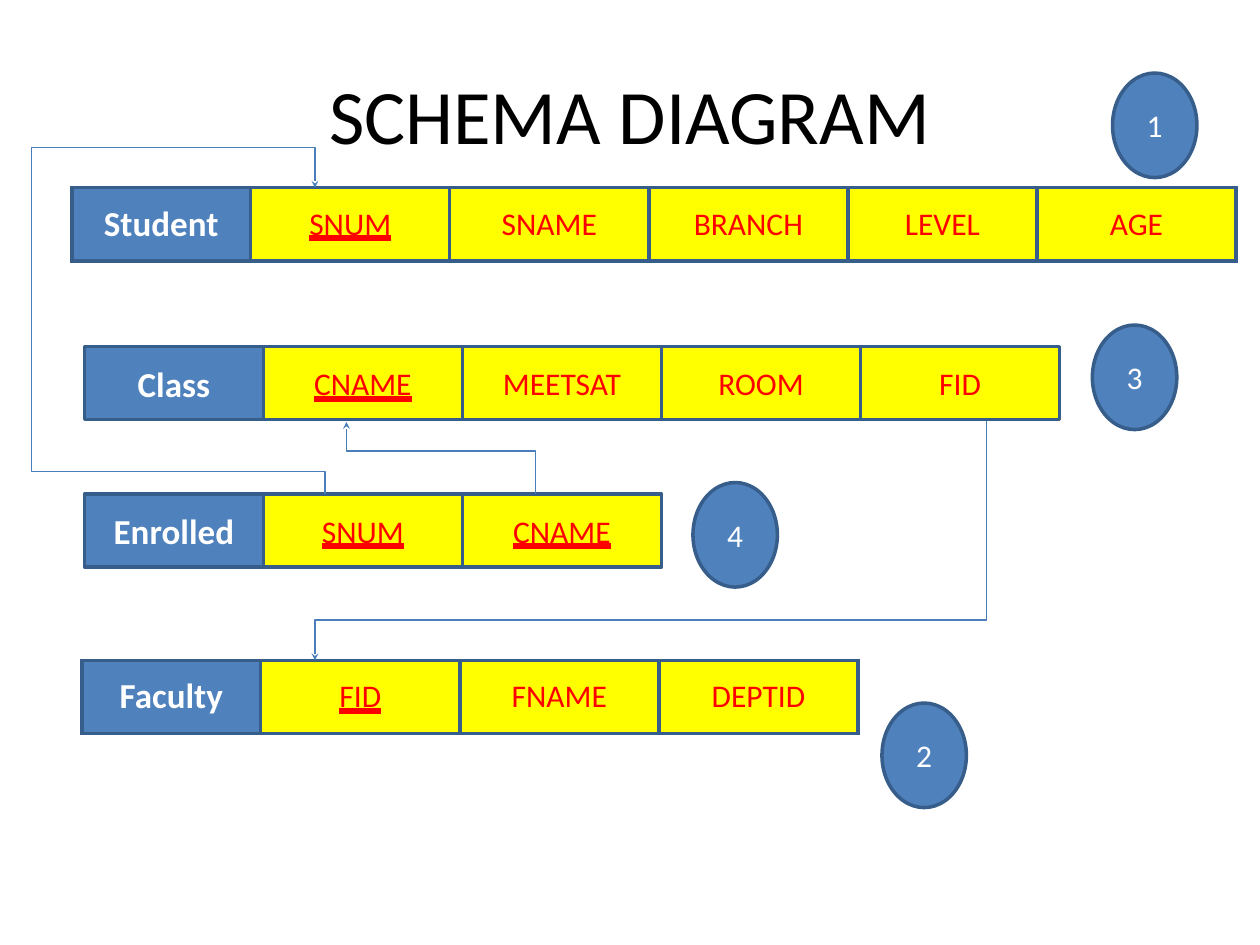
from lxml.etree import SubElement
from pptx import Presentation
from pptx.dml.color import RGBColor
from pptx.enum.shapes import MSO_SHAPE
from pptx.enum.text import MSO_ANCHOR, MSO_UNDERLINE, PP_ALIGN
from pptx.oxml.ns import qn
from pptx.util import Inches, Pt

COLORS = {"blue": "4F81BD", "edge": "375D8A", "yellow": "FFFF00", "red": "FF0000",
          "link": "4A7EBB", "white": "FFFFFF", "black": "000000"}
NAME_WIDTH, FIELD_WIDTH, LEVEL_WIDTH, ROW_HEIGHT = 1.42, 1.58, 1.5, 0.58
BADGE_WIDTH, BADGE_HEIGHT = 0.67, 0.83


def color(name):
    return RGBColor.from_string(COLORS[name])


def write(frame, text, size=18, ink="red", bold=False, key=False):
    """Put one centred line of text in a frame; key fields are underlined."""
    frame.margin_left = frame.margin_right = frame.margin_top = frame.margin_bottom = 0
    frame.vertical_anchor = MSO_ANCHOR.MIDDLE
    frame.word_wrap = True
    para = frame.paragraphs[0]
    para.alignment = PP_ALIGN.CENTER
    span = para.add_run()
    span.text = text
    span.font.name, span.font.size, span.font.bold = "Calibri", Pt(size), bold
    span.font.color.rgb = color(ink)
    if key:
        span.font.underline = MSO_UNDERLINE.HEAVY_LINE


deck = Presentation()
deck.slide_width, deck.slide_height = Inches(10), Inches(7.5)
page = deck.slides.add_slide(deck.slide_layouts[5])
shapes = page.shapes

# Title
title = shapes.title
title.left, title.top, title.width, title.height = map(Inches, (2.3, 0.52, 5.4, 0.76))
write(title.text_frame, "SCHEMA DIAGRAM", size=44, ink="black")

# Relations drawn as tables: left, top, name, key fields, other fields
tables = [
    (0.57, 1.49, "Student", ["SNUM"], ["SNAME", "BRANCH", "LEVEL", "AGE"]),
    (0.65, 5.24, "Faculty", ["FID"], ["FNAME", "DEPTID"]),
]
for left, top, name, keys, others in tables:
    labels = [name] + keys + others
    widths = [NAME_WIDTH] + [LEVEL_WIDTH if label == "LEVEL" else FIELD_WIDTH
                             for label in labels[1:]]
    table = shapes.add_table(1, len(labels), Inches(left), Inches(top),
                             Inches(sum(widths)), Inches(ROW_HEIGHT)).table
    for column, (label, width) in enumerate(zip(labels, widths)):
        table.columns[column].width = Inches(width)
        cell = table.cell(0, column)
        head = column == 0
        write(cell.text_frame, label, size=20 if head else 18,
              ink="white" if head else "red", bold=head, key=label in keys)
        cell.margin_left = cell.margin_right = cell.margin_top = cell.margin_bottom = 0
        cell.vertical_anchor = MSO_ANCHOR.MIDDLE
        properties = cell._tc.get_or_add_tcPr()
        for side in ("a:lnL", "a:lnR", "a:lnT", "a:lnB"):
            border = SubElement(properties, qn(side), w=str(Pt(2.25)))
            fill = SubElement(border, qn("a:solidFill"))
            SubElement(fill, qn("a:srgbClr"), val=COLORS["edge"])
        cell.fill.solid()
        cell.fill.fore_color.rgb = color("blue" if head else "yellow")

# Relations drawn as rows of boxes, then the numbered badges
boxes = []
box_rows = [
    (2.75, "Class", ["CNAME"], ["MEETSAT", "ROOM", "FID"]),
    (3.92, "Enrolled", ["SNUM", "CNAME"], []),
]
for top, name, keys, others in box_rows:
    left = 0.67
    for label in [name] + keys + others:
        head = label == name
        width = NAME_WIDTH if head else FIELD_WIDTH
        boxes.append((MSO_SHAPE.RECTANGLE, left, top, width, ROW_HEIGHT,
                      "blue" if head else "yellow", label,
                      dict(size=20 if head else 18, ink="white" if head else "red",
                           bold=head, key=label in keys)))
        left += width
badges = {"1": (8.83, 0.58), "2": (7, 5.58), "3": (8.67, 2.58), "4": (5.5, 3.83)}
for number, (left, top) in badges.items():
    boxes.append((MSO_SHAPE.OVAL, left, top, BADGE_WIDTH, BADGE_HEIGHT,
                  "blue", number, dict(ink="white")))
for kind, left, top, width, height, fill, label, style in boxes:
    box = shapes.add_shape(kind, *map(Inches, (left, top, width, height)))
    box.shadow.inherit = False
    box.fill.solid()
    box.fill.fore_color.rgb = color(fill)
    box.line.color.rgb = color("edge")
    box.line.width = Pt(2)
    write(box.text_frame, label, **style)

# Foreign key arrows, each ending at the key it refers to
routes = [
    [(2.58, 3.92), (2.58, 3.74), (0.25, 3.74), (0.25, 1.17), (2.5, 1.17), (2.5, 1.49)],
    [(4.25, 3.92), (4.25, 3.58), (2.75, 3.58), (2.75, 3.35)],
    [(7.83, 3.34), (7.83, 4.92), (2.5, 4.92), (2.5, 5.24)],
]
for route in routes:
    start, *turns = [(Inches(x), Inches(y)) for x, y in route]
    builder = shapes.build_freeform(*start)
    builder.add_line_segments(turns, close=False)
    arrow = builder.convert_to_shape()
    arrow.shadow.inherit = False
    arrow.fill.background()
    arrow.line.color.rgb = color("link")
    arrow.line.width = Pt(0.75)
    SubElement(arrow.line._get_or_add_ln(), qn("a:tailEnd"),
               type="stealth", w="sm", len="sm")

deck.save("out.pptx")
